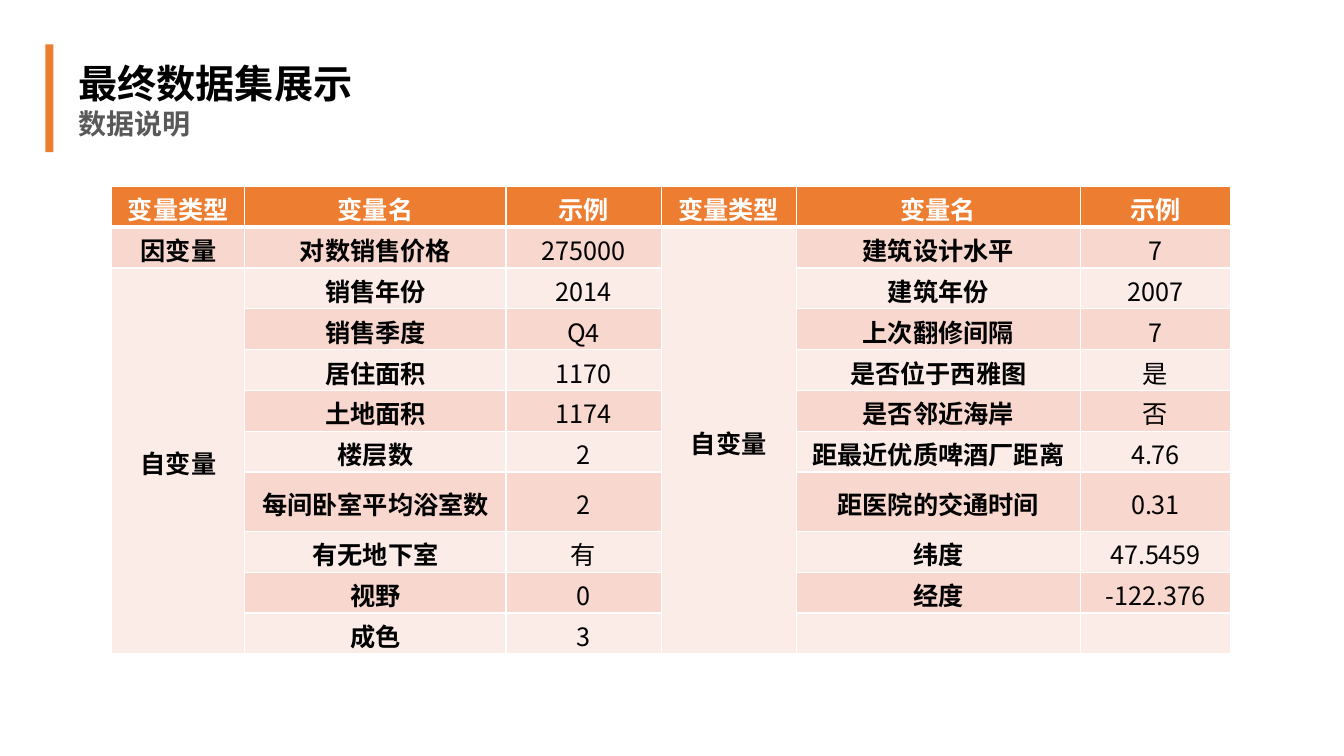
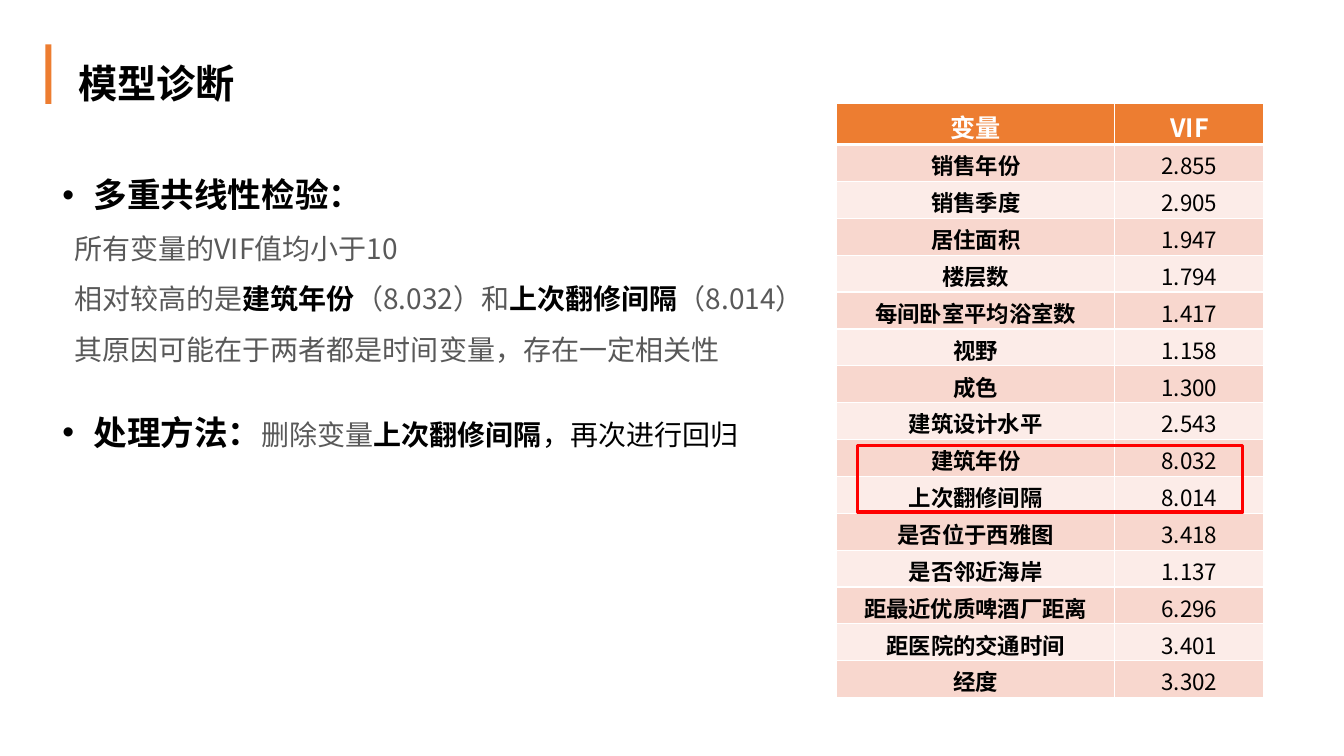
from dataclasses import dataclass

from lxml import etree
from pptx import Presentation
from pptx import util as u
from pptx.dml.color import RGBColor
from pptx.enum import shapes, text
from pptx.oxml import ns


@dataclass(frozen=True)
class Theme:
    font: str = "Noto Sans CJK SC"
    accent: str = "ED7D31"
    dark_band: str = "F8D7CE"
    light_band: str = "FCECE8"
    white: str = "FFFFFF"
    ink: str = "000000"
    grey: str = "595959"
    alert: str = "FF0000"
    title: int = 28
    lead: int = 24
    body: int = 20
    head: int = 18
    small: int = 16


THEME = Theme()
COLUMNS, ROWS = 133.33, 75  # grid of tenths of an inch


def grid(*cells):
    return [u.Inches(cell / 10) for cell in cells]


def rgb(value):
    return RGBColor.from_string(value)


class Deck:
    def __init__(self, theme):
        self.theme = theme
        self.prs = Presentation()
        self.prs.slide_width, self.prs.slide_height = grid(COLUMNS, ROWS)
        self.slide = None

    def style(self, paragraph, size, color, bold):
        font = paragraph.font
        font.name, font.size, font.bold = self.theme.font, u.Pt(size), bold
        font.color.rgb = rgb(color)
        defaults = paragraph._p.pPr.find(ns.qn("a:defRPr"))
        etree.SubElement(defaults, ns.qn("a:ea"), typeface=self.theme.font)

    def new_slide(self, title, bar_size, subtitle=None):
        self.slide = self.prs.slides.add_slide(self.prs.slide_layouts[6])
        heading = self.textbox(6.8, 3.1, 42, 7.2)
        self.paragraph(heading, [(title,)], self.theme.title, self.theme.ink, True, spacing=1.5)
        if subtitle:
            caption = self.textbox(6.8, 10.1, 37.7, 4.4)
            self.paragraph(caption, [(subtitle,)], self.theme.body, self.theme.grey, True)
        self.rectangle(4.5, 4.4, *bar_size, fill=self.theme.accent)

    def rectangle(self, left, top, width, height, fill=None, line=None):
        box = self.slide.shapes.add_shape(
            shapes.MSO_SHAPE.RECTANGLE, *grid(left, top, width, height))
        box.shadow.inherit = False
        if fill:
            box.fill.solid()
            box.fill.fore_color.rgb = rgb(fill)
        else:
            box.fill.background()
        if line:
            box.line.color.rgb = rgb(line)
            box.line.width = u.Pt(2.25)
        else:
            box.line.fill.background()

    def textbox(self, left, top, width, height, wrap=True):
        frame = self.slide.shapes.add_textbox(*grid(left, top, width, height)).text_frame
        frame.word_wrap = wrap
        return frame

    def paragraph(self, frame, parts, size, color, bold=False, spacing=None, bullet=False, indent=0):
        """Each part is (words, [color, bold, size]); missing values come from the paragraph."""
        first = frame.paragraphs[0]
        para = frame.add_paragraph() if first.runs else first
        if spacing:
            para.line_spacing = spacing
        props = para._p.get_or_add_pPr()
        if bullet:
            hang = u.Inches(0.31)
            props.set("marL", str(hang))
            props.set("indent", str(-hang))
            etree.SubElement(props, ns.qn("a:buFont"), typeface="Arial")
            etree.SubElement(props, ns.qn("a:buChar"), char="•")
        elif indent:
            props.set("indent", str(grid(indent)[0]))
        self.style(para, size, color, bold)
        for words, *override in parts:
            run = para.add_run()
            run.text = words
            if override:
                run.font.color.rgb = rgb(override[0])
                run.font.bold = override[1]
            if len(override) > 2:
                run.font.size = u.Pt(override[2])

    def borders(self, cell, bottom):
        props = cell._tc.get_or_add_tcPr()
        for index, side in enumerate("LRTB"):
            width = u.Pt(bottom if side == "B" else 1)
            line = etree.Element(ns.qn(f"a:ln{side}"), w=str(width))
            fill = etree.SubElement(line, ns.qn("a:solidFill"))
            etree.SubElement(fill, ns.qn("a:srgbClr"), val=self.theme.white)
            props.insert(index, line)

    def cell(self, cell, words, fill, size, color, bold, bottom=1):
        cell.fill.solid()
        cell.fill.fore_color.rgb = rgb(fill)
        cell.vertical_anchor = text.MSO_ANCHOR.MIDDLE
        cell.margin_left, cell.margin_right, cell.margin_top, cell.margin_bottom = grid(.4, .4, .4, 0)
        self.borders(cell, bottom)
        para = cell.text_frame.paragraphs[0]
        para.alignment = text.PP_ALIGN.CENTER
        if words:
            para.add_run().text = words
        self.style(para, size, color, bold)

    def table(self, left, top, widths, heights, records, labels, size, merges=()):
        """Label columns are bold; merges hold (row, column, last row)."""
        theme = self.theme
        frame = self.slide.shapes.add_table(
            len(records), len(widths), *grid(left, top, sum(widths), sum(heights)))
        table = frame.table
        table.first_row = table.horz_banding = False
        for tracks, name, lengths in ((table.columns, "width", widths), (table.rows, "height", heights)):
            for track, length in zip(tracks, grid(*lengths)):
                setattr(track, name, length)
        merged = {(row, column) for row, column, _ in merges}
        for r, record in enumerate(records):
            for c, words in enumerate(record):
                if r == 0:
                    self.cell(table.cell(r, c), words, theme.accent, theme.head, theme.white, True, 3)
                    continue
                band = theme.dark_band if r % 2 and (r, c) not in merged else theme.light_band
                self.cell(table.cell(r, c), words, band, size, theme.ink, c in labels)
        for row, column, last in merges:
            table.cell(row, column).merge(table.cell(last, column))


def data_slide(deck):
    deck.new_slide("最终数据集展示", (.8, 10.7), "数据说明")
    left_half = [
        ("对数销售价格", "275000"), ("销售年份", "2014"), ("销售季度", "Q4"),
        ("居住面积", "1170"), ("土地面积", "1174"), ("楼层数", "2"),
        ("每间卧室平均浴室数", "2"), ("有无地下室", "有"), ("视野", "0"), ("成色", "3"),
    ]
    right_half = [
        ("建筑设计水平", "7"), ("建筑年份", "2007"), ("上次翻修间隔", "7"),
        ("是否位于西雅图", "是"), ("是否邻近海岸", "否"), ("距最近优质啤酒厂距离", "4.76"),
        ("距医院的交通时间", "0.31"), ("纬度", "47.5459"), ("经度", "-122.376"), ("", ""),
    ]
    kinds = [("因变量", "自变量"), ("自变量", "")] + [("", "")] * 8
    records = [("变量类型", "变量名", "示例") * 2]
    records += [(k[0], *a, k[1], *b) for k, a, b in zip(kinds, left_half, right_half)]
    heights = [4.05] * 7 + [5.9] + [4.05] * 3
    deck.table(11.1, 18.5, [13.2, 25.9, 15.4, 13.4, 28.2, 14.9], heights, records,
               labels={0, 1, 3, 4}, size=THEME.head, merges=[(2, 0, 10), (1, 3, 10)])


def diagnosis_slide(deck):
    ink, grey, body = THEME.ink, THEME.grey, THEME.body
    deck.new_slide("模型诊断", (.6, 5.9))

    # Findings
    findings = deck.textbox(5.2, 14.8, 76.2, 21.4)
    deck.paragraph(findings, [("多重共线性检验：",)], THEME.lead, ink, True, 1.5, bullet=True)
    for parts in (
        [("所有变量的VIF值均小于10",)],
        [("相对较高的是",), ("建筑年份", ink, True), ("（8.032）和",),
         ("上次翻修间隔", ink, True), ("（8.014）",)],
        [("其原因可能在于两者都是时间变量，存在一定相关性",)],
    ):
        deck.paragraph(findings, parts, body, grey, spacing=1.5, indent=1.2)

    # VIF table
    records = [
        ("变量", "VIF"), ("销售年份", "2.855"), ("销售季度", "2.905"), ("居住面积", "1.947"),
        ("楼层数", "1.794"), ("每间卧室平均浴室数", "1.417"), ("视野", "1.158"),
        ("成色", "1.300"), ("建筑设计水平", "2.543"), ("建筑年份", "8.032"),
        ("上次翻修间隔", "8.014"), ("是否位于西雅图", "3.418"), ("是否邻近海岸", "1.137"),
        ("距最近优质啤酒厂距离", "6.296"), ("距医院的交通时间", "3.401"), ("经度", "3.302"),
    ]
    deck.table(83, 10.3, [27.6, 14.8], [4.05] + [3.66] * 15, records, labels={0}, size=THEME.small)

    # Treatment and highlighted rows
    treatment = deck.textbox(5.2, 40.4, 70, 5, wrap=False)
    deck.paragraph(treatment, [
        ("处理方法：", ink, True, THEME.lead), ("删除变量", grey, False),
        ("上次翻修间隔", ink, True), ("，再次进行回归",),
    ], body, ink, bullet=True)
    deck.rectangle(85.1, 44.2, 38.2, 6.6, line=THEME.alert)


def main():
    deck = Deck(THEME)
    data_slide(deck)
    diagnosis_slide(deck)
    deck.prs.save("out.pptx")


if __name__ == "__main__":
    main()
